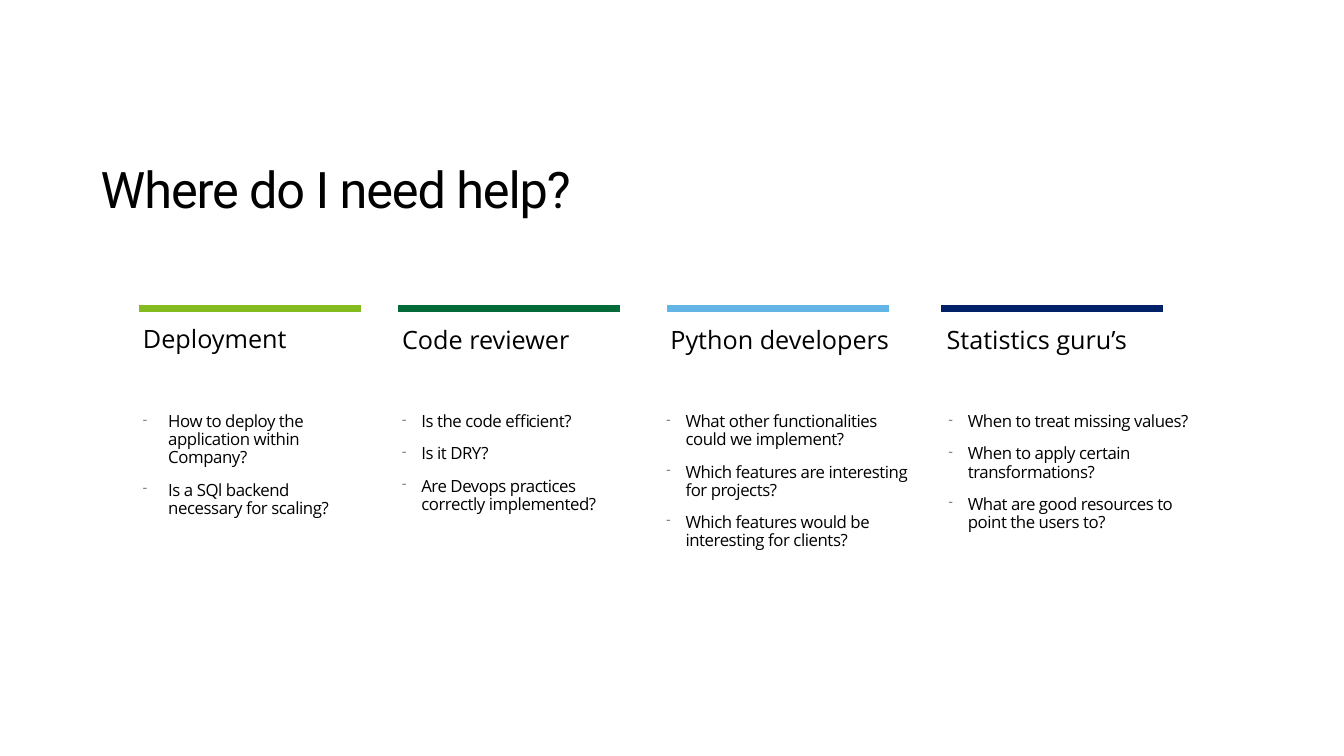
from dataclasses import dataclass

from lxml import etree
from pptx import Presentation
from pptx.dml.color import RGBColor
from pptx.enum.shapes import MSO_CONNECTOR
from pptx.enum.text import MSO_ANCHOR
from pptx.oxml.ns import qn
from pptx.util import Inches, Pt


@dataclass(frozen=True)
class Theme:
    text: str = "000000"
    bullet: str = "787878"
    green: str = "84BC20"
    forest: str = "046A38"
    sky: str = "62B5E5"
    navy: str = "012169"
    title_font: str = "Roboto"
    body_font: str = "Open Sans"
    title_size: int = 36
    heading_size: int = 18
    body_size: int = 12
    bar_weight: float = 4.5


@dataclass(frozen=True)
class Topic:
    heading: str
    color: str
    bar_left: float
    heading_left: float
    heading_top: float
    list_left: float
    list_width: float
    indent: float
    questions: tuple


class SlideBuilder:
    def __init__(self, presentation, theme):
        self.theme = theme
        self.width = presentation.slide_width
        self.height = presentation.slide_height
        self.slide = presentation.slides.add_slide(presentation.slide_layouts[6])

    def x(self, percent):
        return round(self.width * percent / 100)

    def y(self, percent):
        return round(self.height * percent / 100)

    def frame(self, left, top, width, height):
        box = self.slide.shapes.add_textbox(
            self.x(left), self.y(top), self.x(width), self.y(height))
        box.text_frame.word_wrap = True
        return box.text_frame

    def add_text(self, paragraph, text, size, font, tracking=0):
        run = paragraph.add_run()
        run.text = text
        run.font.size = Pt(size)
        run.font.name = font
        run.font.color.rgb = RGBColor.from_string(self.theme.text)
        if tracking:
            run._r.get_or_add_rPr().set("spc", str(round(tracking * 100)))

    def title(self, text, left, top, width, height):
        frame = self.frame(left, top, width, height)
        frame.vertical_anchor = MSO_ANCHOR.BOTTOM
        frame.margin_left = frame.margin_right = frame.margin_bottom = 0
        paragraph = frame.paragraphs[0]
        paragraph.line_spacing = 0.8
        self.add_text(paragraph, text, self.theme.title_size, self.theme.title_font, -0.8)

    def heading(self, text, left, top, width, height):
        frame = self.frame(left, top, width, height)
        self.add_text(frame.paragraphs[0], text, self.theme.heading_size, self.theme.body_font)

    def bar(self, color, left, top, width):
        line = self.slide.shapes.add_connector(
            MSO_CONNECTOR.STRAIGHT, self.x(left), self.y(top),
            self.x(left + width), self.y(top))
        line.line.color.rgb = RGBColor.from_string(color)
        line.line.width = Pt(self.theme.bar_weight)
        etree.SubElement(line._element.spPr, qn("a:effectLst"))

    def dash(self, paragraph, indent):
        properties = paragraph._p.get_or_add_pPr()
        properties.set("marL", str(self.x(indent)))
        properties.set("indent", str(-self.x(indent)))
        color = etree.SubElement(properties, qn("a:buClr"))
        etree.SubElement(color, qn("a:srgbClr"), val=self.theme.bullet)
        etree.SubElement(properties, qn("a:buSzPct"), val="75000")
        etree.SubElement(properties, qn("a:buChar"), char="-")

    def bullets(self, items, left, top, width, height, indent):
        frame = self.frame(left, top, width, height)
        for index, item in enumerate(items):
            paragraph = frame.add_paragraph() if index else frame.paragraphs[0]
            paragraph.line_spacing = 0.9
            paragraph.space_before = Pt(10)
            self.dash(paragraph, indent)
            self.add_text(paragraph, item, self.theme.body_size, self.theme.body_font, -0.3)


theme = Theme()
topics = (
    Topic("Deployment", theme.green, 10.35, 9.9, 42.1, 9.9, 16.58, 1.88, (
        "How to deploy the application within Company?",
        "Is a SQl backend necessary for scaling?")),
    Topic("Code reviewer", theme.forest, 29.63, 29.18, 42.3, 29.18, 18.6, 1.43, (
        "Is the code efficient?",
        "Is it DRY?",
        "Are Devops practices correctly implemented?")),
    Topic("Python developers", theme.sky, 49.66, 49.14, 42.3, 48.84, 20.33, 1.43, (
        "What other functionalities could we implement?",
        "Which features are interesting for projects?",
        "Which features would be interesting for clients?")),
    Topic("Statistics guru’s", theme.navy, 70, 69.69, 42.2, 69.84, 20.33, 1.43, (
        "When to treat missing values?",
        "When to apply certain transformations?",
        "What are good resources to point the users to?")),
)

presentation = Presentation()
presentation.slide_width = Inches(13.33)
presentation.slide_height = Inches(7.5)
builder = SlideBuilder(presentation, theme)

builder.title("Where do I need help?", 7.5, 19.6, 90.85, 9.3)
for topic in topics:
    builder.bar(topic.color, topic.bar_left, 40.8, 16.5)
    builder.heading(topic.heading, topic.heading_left, topic.heading_top, 19.13, 5.4)
    builder.bullets(topic.questions, topic.list_left, 54, topic.list_width, 30, topic.indent)

presentation.save("out.pptx")
